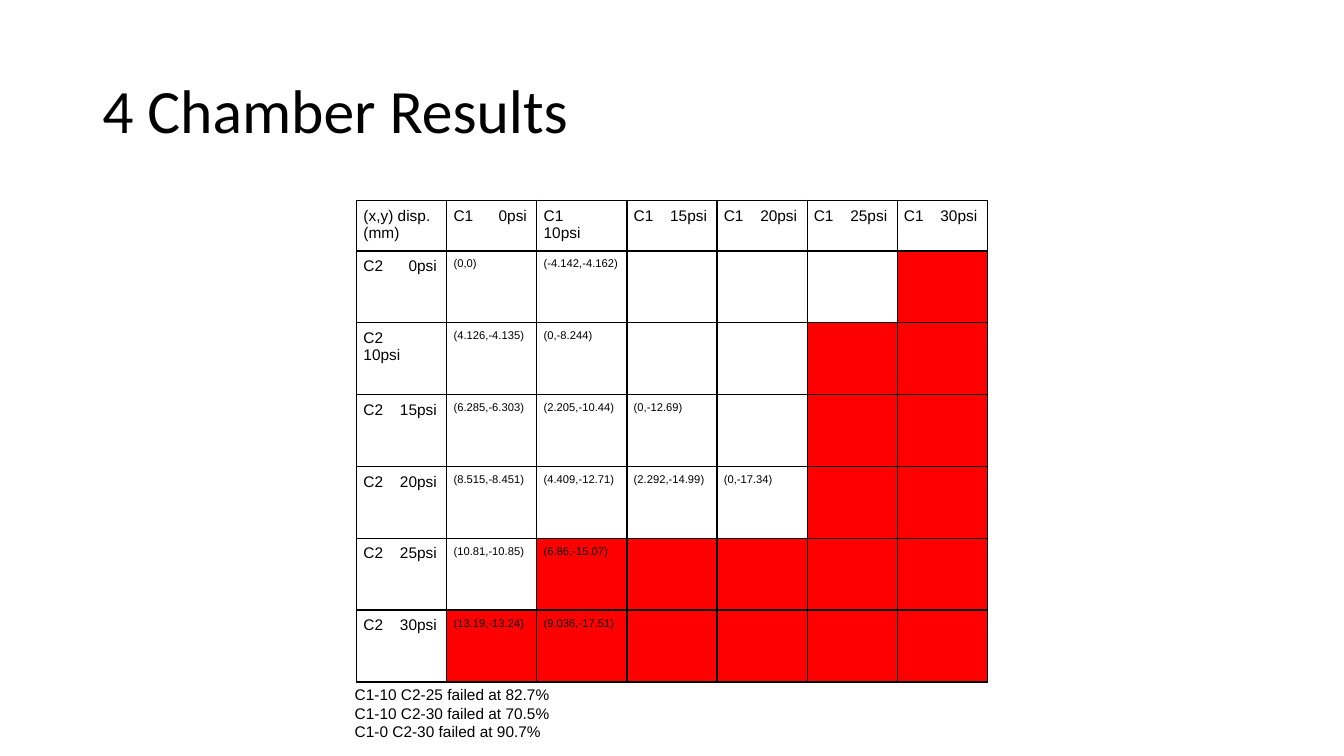
"""Builds the slide with the pressure and displacement results of four chambers."""
from lxml.etree import SubElement
from pptx import Presentation
from pptx.dml.color import RGBColor
from pptx.enum.text import MSO_ANCHOR as Anchor
from pptx.oxml import parse_xml
from pptx.oxml.ns import nsdecls, qn
from pptx.util import Cm, Pt

TITLE = "4 Chamber Results"
CORNER = "(x,y) disp. (mm)"
PRESSURES = ["0psi", "10psi", "15psi", "20psi", "25psi", "30psi"]
WRAPPED = "10psi"
DISPLACEMENTS = [
    ["(0,0)", "(-4.142,-4.162)"],
    ["(4.126,-4.135)", "(0,-8.244)"],
    ["(6.285,-6.303)", "(2.205,-10.44)", "(0,-12.69)"],
    ["(8.515,-8.451)", "(4.409,-12.71)", "(2.292,-14.99)", "(0,-17.34)"],
    ["(10.81,-10.85)", "(6.86,-15.07)"],
    ["(13.19,-13.24)", "(9.036,-17.51)"],
]
FIRST_FAILED_COLUMN = [6, 5, 5, 5, 2, 1]
FAILURES = [
    "C1-10 C2-25 failed at 82.7%",
    "C1-10 C2-30 failed at 70.5%",
    "C1-0 C2-30 failed at 90.7%",
]
BLACK, WHITE, RED = "000000", "FFFFFF", "FF0000"
COLUMN_WIDTH, HEADER_HEIGHT, ROW_HEIGHT = Cm(2.27), Cm(1.24), Cm(1.81)
LABEL_TAB, CELL_MARGIN = Cm(1.85), Cm(0.17)


def color(value):
    return RGBColor.from_string(value)


def add_run(paragraph, text, size, font="Arial"):
    run = paragraph.add_run()
    run.text = text
    run.font.size = Pt(size)
    run.font.name = font
    run.font.color.rgb = color(BLACK)


def add_text_box(slide, left, top, width, height, lines, size, font="Arial"):
    shape = slide.shapes.add_textbox(left, top, width, height)
    frame = shape.text_frame
    frame.word_wrap = True
    frame.vertical_anchor = Anchor.MIDDLE
    for index, line in enumerate(lines):
        paragraph = frame.paragraphs[0] if index == 0 else frame.add_paragraph()
        add_run(paragraph, line, size, font)
    return frame


def add_label(paragraph, chamber, pressure):
    if pressure == WRAPPED:
        add_run(paragraph, chamber, 11)
        paragraph.add_line_break()
        add_run(paragraph, pressure, 11)
        return
    tabs = SubElement(paragraph._p.get_or_add_pPr(), qn("a:tabLst"))
    SubElement(tabs, qn("a:tab"), pos=str(LABEL_TAB), algn="r")
    add_run(paragraph, f"{chamber}\t{pressure}", 11)


def style_cell(cell, fill):
    cell.margin_left = cell.margin_right = CELL_MARGIN
    cell.margin_top = cell.margin_bottom = CELL_MARGIN
    cell.fill.solid()
    cell.fill.fore_color.rgb = color(fill)
    properties = cell._tc.get_or_add_tcPr()
    for index, side in enumerate(("lnL", "lnR", "lnT", "lnB")):
        properties.insert(index, parse_xml(
            f'<a:{side} {nsdecls("a")} w="{Pt(1)}"><a:solidFill>'
            f'<a:srgbClr val="{BLACK}"/></a:solidFill></a:{side}>'))


def add_results_table(slide):
    count = len(PRESSURES) + 1
    table = slide.shapes.add_table(
        count, count, Cm(8.99), Cm(5.05), COLUMN_WIDTH * count,
        HEADER_HEIGHT + ROW_HEIGHT * len(PRESSURES)).table
    table.first_row = table.horz_banding = False
    for index in range(count):
        table.columns[index].width = COLUMN_WIDTH
        table.rows[index].height = ROW_HEIGHT if index else HEADER_HEIGHT
    for row in range(count):
        for column in range(count):
            cell = table.cell(row, column)
            failed = row > 0 and column >= FIRST_FAILED_COLUMN[row - 1]
            style_cell(cell, RED if failed else WHITE)
            paragraph = cell.text_frame.paragraphs[0]
            if row == column == 0:
                add_run(paragraph, CORNER, 11)
            elif row == 0:
                add_label(paragraph, "C1", PRESSURES[column - 1])
            elif column == 0:
                add_label(paragraph, "C2", PRESSURES[row - 1])
            elif column <= len(DISPLACEMENTS[row - 1]):
                add_run(paragraph, DISPLACEMENTS[row - 1][column - 1], 8)


def main():
    presentation = Presentation()
    presentation.slide_width, presentation.slide_height = Cm(33.87), Cm(19.05)
    slide = presentation.slides.add_slide(presentation.slide_layouts[6])
    title = add_text_box(slide, Cm(2.33), Cm(1.01), Cm(29.21), Cm(3.68),
                         [TITLE], 44, "Calibri")
    title.paragraphs[0].line_spacing = 0.9
    add_results_table(slide)
    add_text_box(slide, Cm(8.69), Cm(17.15), Cm(7), Cm(1.65), FAILURES, 11)
    presentation.save("out.pptx")


if __name__ == "__main__":
    main()
